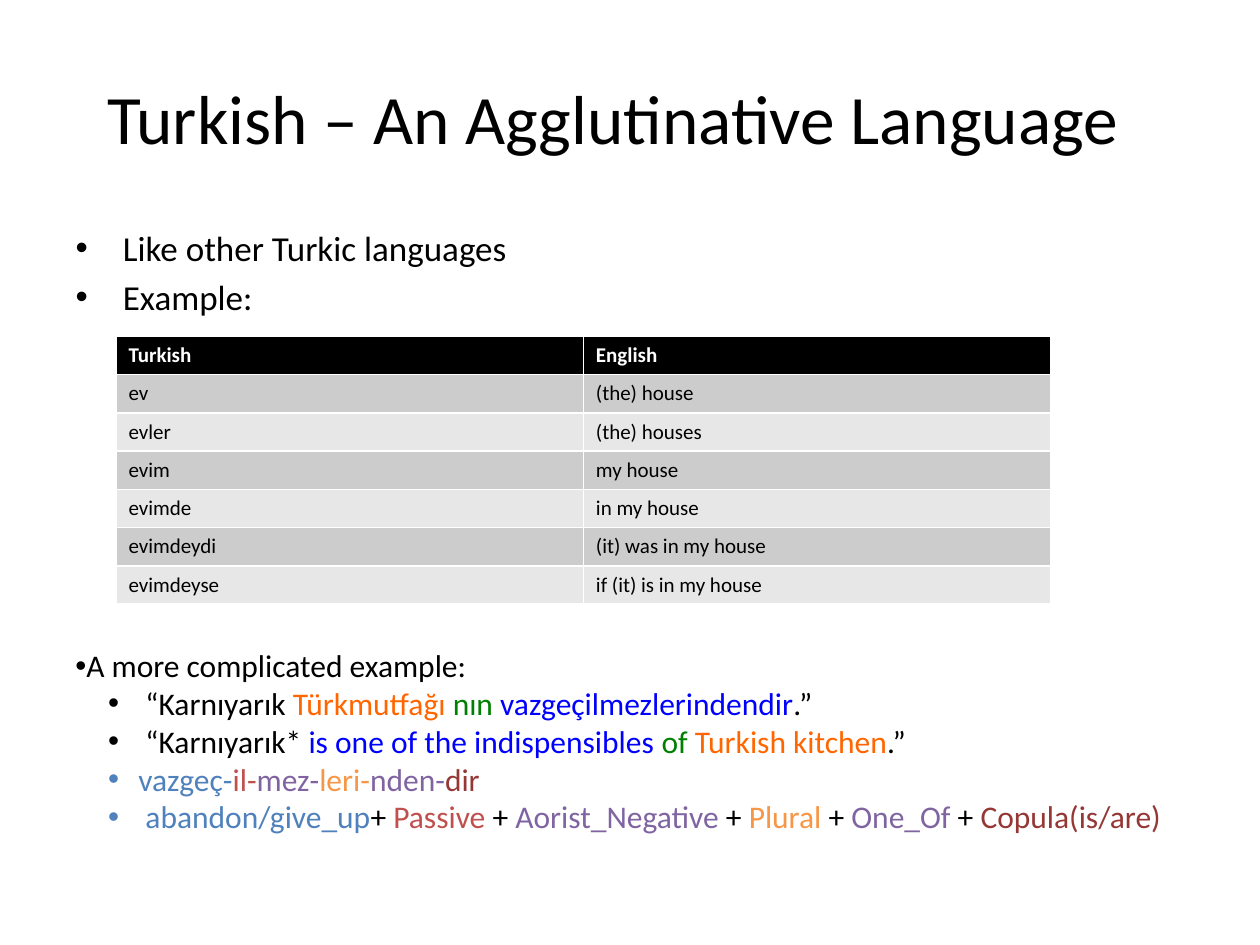
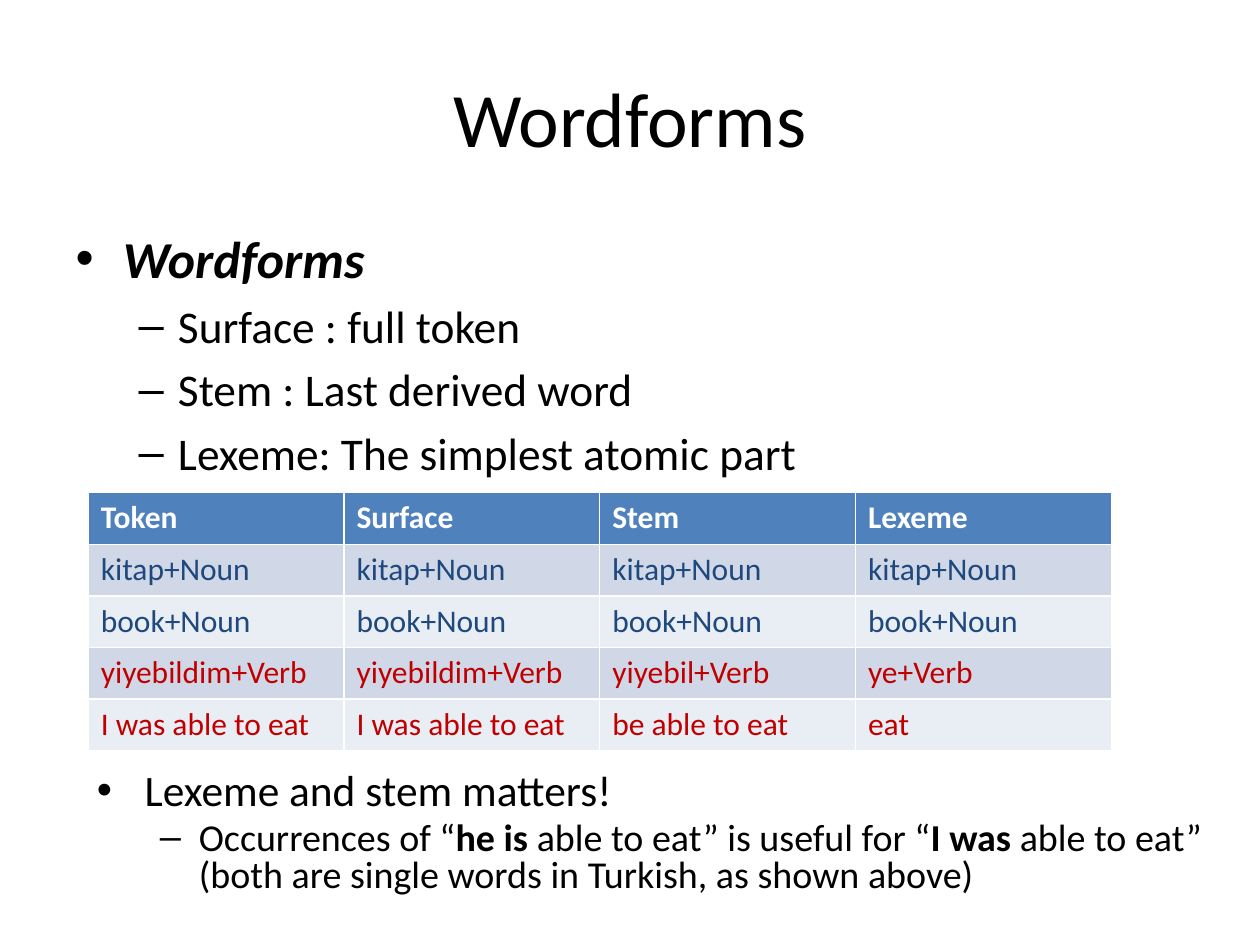
from lxml import etree
from pptx import Presentation
from pptx.dml.color import RGBColor
from pptx.enum.text import MSO_ANCHOR, MSO_AUTO_SIZE, PP_ALIGN
from pptx.oxml.ns import qn
from pptx.util import Inches, Pt

MIDDLE = MSO_ANCHOR.MIDDLE
NO_FIT = MSO_AUTO_SIZE.NONE
CENTER = PP_ALIGN.CENTER

FONT = "Calibri"
BLACK, WHITE = "000000", "FFFFFF"
ORANGE, GREEN, BLUE = "FF6600", "008000", "0000FF"
STEEL, RED, PURPLE, AMBER, MAROON = "4F81BD", "C0504D", "8064A2", "F79646", "953735"
NAVY, CRIMSON = "1F497D", "C00000"


def add_text(tf, runs, size, level=0, bullet=None, left=0, hang=0):
    p = tf.paragraphs[0] if not tf.paragraphs[0].runs else tf.add_paragraph()
    p.level = level
    p.font.name = FONT
    p.font.size = Pt(size)
    for text, color, *bold in runs:
        r = p.add_run()
        r.text = text
        r.font.color.rgb = RGBColor.from_string(color)
        if bold:
            r.font.bold = bold[0]
    if bullet:
        pPr = p._p.get_or_add_pPr()
        pPr.set("marL", str(Inches(left)))
        pPr.set("indent", str(Inches(-hang)))
        bu_font = etree.Element(qn("a:buFont"), typeface="Arial")
        bu_char = etree.Element(qn("a:buChar"), char=bullet)
        pPr.find(qn("a:defRPr")).addprevious(bu_font)
        bu_font.addnext(bu_char)
    return p


def add_grid(s, rows, left, top, col_width, row_height, size, header_fill, bands, colors):
    n_rows, n_cols = len(rows), len(rows[0])
    table = s.shapes.add_table(n_rows, n_cols, Inches(left), Inches(top),
                               Inches(col_width * n_cols), Inches(row_height * n_rows)).table
    for i, row in enumerate(rows):
        for j, text in enumerate(row):
            cell = table.cell(i, j)
            cell.fill.solid()
            cell.fill.fore_color.rgb = RGBColor.from_string(bands[(i - 1) % 2] if i else header_fill)
            p = add_text(cell.text_frame, [(text, colors[i - 1] if i else WHITE)], size)
            p.font.bold = i == 0


prs = Presentation()
prs.slide_width, prs.slide_height = Inches(10), Inches(7.5)

slides = []
for title, size, body_height in [("Turkish – An Agglutinative Language", 39.6, 0.75),
                                 ("Wordforms", 44, 2)]:
    s = prs.slides.add_slide(prs.slide_layouts[1])
    head, body = s.shapes.title, s.placeholders[1]
    for sp, top, height in [(head, 0.3, 1.25), (body, 1.75, body_height)]:
        sp.left, sp.top, sp.width, sp.height = Inches(0.5), Inches(top), Inches(9), Inches(height)
        sp.text_frame.auto_size = NO_FIT
    head.text_frame.vertical_anchor = MIDDLE
    add_text(head.text_frame, [(title, BLACK)], size).alignment = CENTER
    slides.append(s)

s = slides[0]
s.shapes.title.text_frame.margin_right = Inches(0.37)
for text in ["Like other Turkic languages", "Example:"]:
    add_text(s.placeholders[1].text_frame, [(text, BLACK)], 20)

house_rows = [
    ("Turkish", "English"),
    ("ev", "(the) house"),
    ("evler", "(the) houses"),
    ("evim", "my house"),
    ("evimde", "in my house"),
    ("evimdeydi", "(it) was in my house"),
    ("evimdeyse", "if (it) is in my house"),
]
add_grid(s, house_rows, 0.92, 2.67, 3.71, 0.3, 12, BLACK, ("CCCCCC", "E7E7E7"), [BLACK] * 6)

tf = s.shapes.add_textbox(Inches(0.5), Inches(5.08), Inches(9), Inches(1.92)).text_frame
tf.word_wrap = True
add_text(tf, [("A more complicated example:", BLACK)], 18, 0, "•")
examples = [
    [(" “Karnıyarık ", BLACK), ("Türkmutfağı ", ORANGE), ("nın ", GREEN),
     ("vazgeçilmezlerindendir", BLUE), (".”", BLACK)],
    [(" “Karnıyarık* ", BLACK), ("is one of the indispensibles ", BLUE), ("of ", GREEN),
     ("Turkish kitchen", ORANGE), (".”", BLACK)],
    [("vazgeç-", STEEL), ("il-", RED), ("mez-", PURPLE), ("leri-", AMBER),
     ("nden-", PURPLE), ("dir", MAROON)],
    [(" abandon/give_up", STEEL), ("+ ", BLACK), ("Passive", RED), (" + ", BLACK),
     ("Aorist_Negative", PURPLE), (" + ", BLACK), ("Plural", AMBER), (" + ", BLACK),
     ("One_Of", PURPLE), (" + ", BLACK), ("Copula(is/are)", MAROON)],
]
for runs in examples:
    add_text(tf, runs, 18, 1, "•", 0.5, 0.24)

s = slides[1]
tf = s.placeholders[1].text_frame
p = add_text(tf, [("Wordforms", BLACK)], 29.6)
p.font.bold = p.font.italic = True
for text in ["Surface : full token", "Stem : Last derived word", "Lexeme: The simplest atomic part"]:
    add_text(tf, [(text, BLACK)], 25.9, 1)

wordform_rows = [
    ("Token", "Surface", "Stem", "Lexeme"),
    ("kitap+Noun",) * 4,
    ("book+Noun",) * 4,
    ("yiyebildim+Verb", "yiyebildim+Verb", "yiyebil+Verb", "ye+Verb"),
    ("I was able to eat", "I was able to eat", "be able to eat", "eat"),
]
add_grid(s, wordform_rows, 0.7, 3.91, 2.03, 0.41, 18, STEEL, ("D0D8E8", "E9EDF4"),
         [NAVY, NAVY, CRIMSON, CRIMSON])

tf = s.shapes.add_textbox(Inches(0.67), Inches(6.09), Inches(9), Inches(1.17)).text_frame
tf.word_wrap = True
occurrences = [
    ("Occurrences of “", BLACK), ("he is", BLACK, True),
    (" able to eat” is useful for “", BLACK), ("I was", BLACK, True),
    (" able to eat” (both are single words in Turkish, as shown above)", BLACK),
]
for runs, size, level, bullet, left, hang in [
    ([("Lexeme and stem matters!", BLACK)], 24.8, 0, "•", 0.38, 0.38),
    (occurrences, 21.7, 1, "–", 0.81, 0.31),
]:
    p = add_text(tf, runs, size, level, bullet, left, hang)
    p.line_spacing = 0.8
    p.space_before = Pt(size * 0.2)

prs.save("out.pptx")
